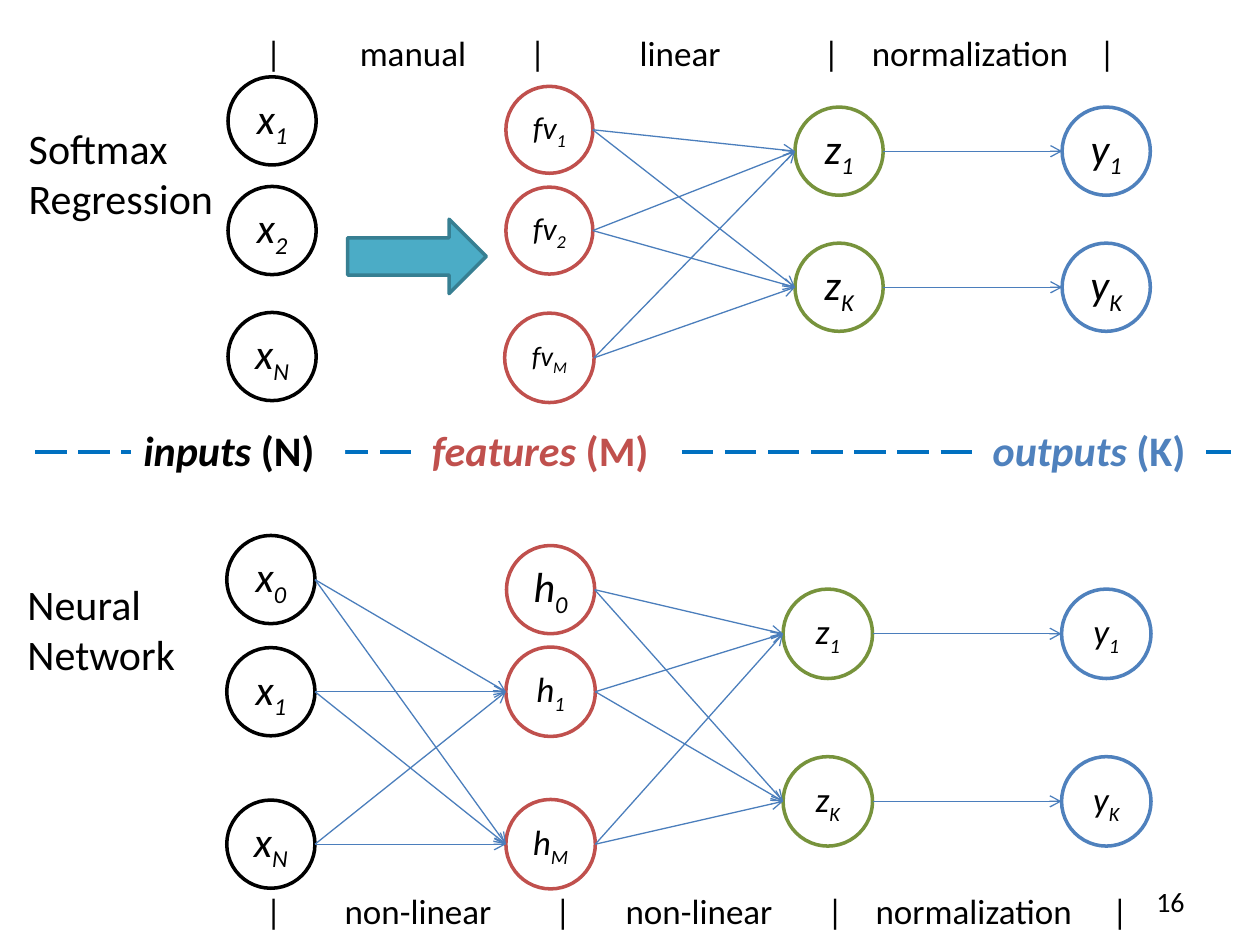
from itertools import product

from lxml import etree
from pptx import Presentation
from pptx import util as u
from pptx.dml.color import RGBColor
from pptx.enum import dml, shapes, text
from pptx.oxml.ns import qn

BLACK = RGBColor(0x00, 0x00, 0x00)
WHITE = RGBColor(0xFF, 0xFF, 0xFF)
RED = RGBColor(0xC0, 0x50, 0x4D)
GREEN = RGBColor(0x77, 0x93, 0x3C)
BLUE = RGBColor(0x4F, 0x81, 0xBD)
LINK = RGBColor(0x4B, 0x7E, 0xBC)
DIVIDER = RGBColor(0x00, 0x70, 0xC0)
TEAL = RGBColor(0x4B, 0xAC, 0xC6)
DARK_TEAL = RGBColor(0x37, 0x7F, 0x92)

# The slide is a grid of 100 columns and 75 rows of square cells
prs = Presentation()
prs.slide_width, prs.slide_height = u.Inches(10), u.Inches(7.5)
CELL = prs.slide_width / 100
slide = prs.slides.add_slide(prs.slide_layouts[6])


def add_line(col1, row1, col2, row2, colour, width):
    ends = [int(n * CELL) for n in (col1, row1, col2, row2)]
    line = slide.shapes.add_connector(shapes.MSO_CONNECTOR.STRAIGHT, *ends)
    line.line.color.rgb = colour
    line.line.width = u.Pt(width)
    etree.SubElement(line._element.spPr, qn("a:effectLst"))
    return line


def add_label(col, row, cols, rows, content, size, colour=BLACK):
    label = slide.shapes.add_textbox(*[int(n * CELL) for n in (col, row, cols, rows)])
    label.text_frame.word_wrap = True
    label.text_frame.text = content
    for paragraph in label.text_frame.paragraphs:
        paragraph.font.name = "Calibri"
        paragraph.font.size = u.Pt(size)
        paragraph.font.color.rgb = colour
    return label


# Layers: letter, colour, centre column, linked to the layer before,
# nodes (subscript, centre row, diameter, text size)
softmax = [
    ("x", BLACK, 21.6, False, [("1", 9.6, 7, 24), ("2", 18.3, 7, 24), ("N", 28.3, 7, 24)]),
    ("fv", RED, 43.6, False, [("1", 10.3, 6.9, 18), ("2", 18.3, 6.9, 18), ("M", 28.4, 7.1, 16)]),
    ("z", GREEN, 66.6, True, [("1", 12, 7, 24), ("K", 22.8, 7, 24)]),
    ("y", BLUE, 87.8, True, [("1", 12, 7, 24), ("K", 22.8, 7, 24)]),
]
neural = [
    ("x", BLACK, 21.5, False, [("0", 46, 7, 24), ("1", 54.9, 7, 24), ("N", 67, 7, 24)]),
    ("h", RED, 43.7, True, [("0", 46.8, 7, 24), ("1", 54.9, 7.1, 20), ("M", 67, 7.1, 20)]),
    ("z", GREEN, 65.7, True, [("1", 50.3, 7.1, 20), ("K", 63.6, 7.1, 20)]),
    ("y", BLUE, 87.8, True, [("1", 50.3, 7.1, 20), ("K", 63.6, 7.1, 20)]),
]

for network in (softmax, neural):
    # Nodes
    for letter, colour, centre, _, nodes in network:
        for subscript, row, size, points in nodes:
            box = (centre - size / 2, row - size / 2, size, size)
            node = slide.shapes.add_shape(shapes.MSO_SHAPE.OVAL, *[int(n * CELL) for n in box])
            node.shadow.inherit = False
            node.fill.solid()
            node.fill.fore_color.rgb = WHITE
            node.line.color.rgb = colour
            node.line.width = u.Pt(2)
            frame = node.text_frame
            frame.word_wrap = False
            frame.margin_left = frame.margin_right = frame.margin_top = frame.margin_bottom = 0
            frame.vertical_anchor = text.MSO_ANCHOR.MIDDLE
            symbol = frame.paragraphs[0]
            symbol.alignment = text.PP_ALIGN.CENTER
            for part in (letter, subscript):
                run = symbol.add_run()
                run.text = part
                run.font.name = "Calibri"
                run.font.size = u.Pt(points)
                run.font.italic = True
                run.font.color.rgb = BLACK
            run.font._element.set("baseline", "-25000")

    # Links: all to all, except that outputs pair up and h0 takes no input
    for before, after in zip(network, network[1:]):
        if not after[3]:
            continue
        for source, target in product(before[4], after[4]):
            if target[0] == "0" or (after[0] == "y" and source[0] != target[0]):
                continue
            link = add_line(before[2] + source[2] / 2, source[1],
                            after[2] - target[2] / 2, target[1], LINK, 0.75)
            etree.SubElement(link.line._get_or_add_ln(), qn("a:tailEnd"), type="arrow")

# Manual feature arrow
manual = slide.shapes.add_shape(shapes.MSO_SHAPE.RIGHT_ARROW,
                                *[int(n * CELL) for n in (27.6, 17.4, 11, 5.9)])
manual.shadow.inherit = False
manual.fill.solid()
manual.fill.fore_color.rgb = TEAL
manual.line.color.rgb = DARK_TEAL
manual.line.width = u.Pt(2)

# Stage names, centred on tab stops
TEXT_START = 21.1
stages = [
    (2, "|\tmanual\t|\tlinear\t|\tnormalization\t|", (32.8, 42.7, 54, 66, 77, 87.9)),
    (70.1, "|\tnon-linear\t|\tnon-linear\t|\tnormalization\t|", (33.2, 44.7, 55.5, 66.3, 77.3, 88.9)),
]
for row, names, centres in stages:
    label = add_label(20.1, row, 71.3, 4.4, names, 20)
    properties = label.text_frame.paragraphs[0]._p.get_or_add_pPr()
    tabs = etree.Element(qn("a:tabLst"))
    properties.insert(0, tabs)
    for centre in centres:
        etree.SubElement(tabs, qn("a:tab"), pos=str(int((centre - TEXT_START) * CELL)), algn="ctr")

# Divider with the layer names
divider = add_line(2.8, 35.9, 98.2, 35.9, DIVIDER, 2.25)
divider.line.dash_style = dml.MSO_LINE.LONG_DASH
for col, cols, name, count, colour in [
    (10.4, 17, "inputs ", "(N)", BLACK),
    (33.3, 20.2, "features ", "(M)", RED),
    (77.8, 17.9, "outputs ", "(K)", BLUE),
]:
    label = add_label(col, 33.2, cols, 5, name, 24, colour)
    label.fill.solid()
    label.fill.fore_color.rgb = WHITE
    heading = label.text_frame.paragraphs[0]
    heading.add_run().text = count
    for run, italic in zip(heading.runs, (True, False)):
        run.font.name = "Calibri"
        run.font.size = u.Pt(24)
        run.font.color.rgb = colour
        run.font.bold = True
        run.font.italic = italic

# Model names and page number
add_label(1.3, 9.2, 16.7, 9.1, "Softmax\nRegression", 24)
add_label(1.2, 45.4, 14.4, 9.1, "Neural\nNetwork", 24)
page = add_label(71.7, 69.5, 23.3, 4, "16", 16)
page.text_frame.vertical_anchor = text.MSO_ANCHOR.MIDDLE
page.text_frame.paragraphs[0].alignment = text.PP_ALIGN.RIGHT

prs.save("out.pptx")
